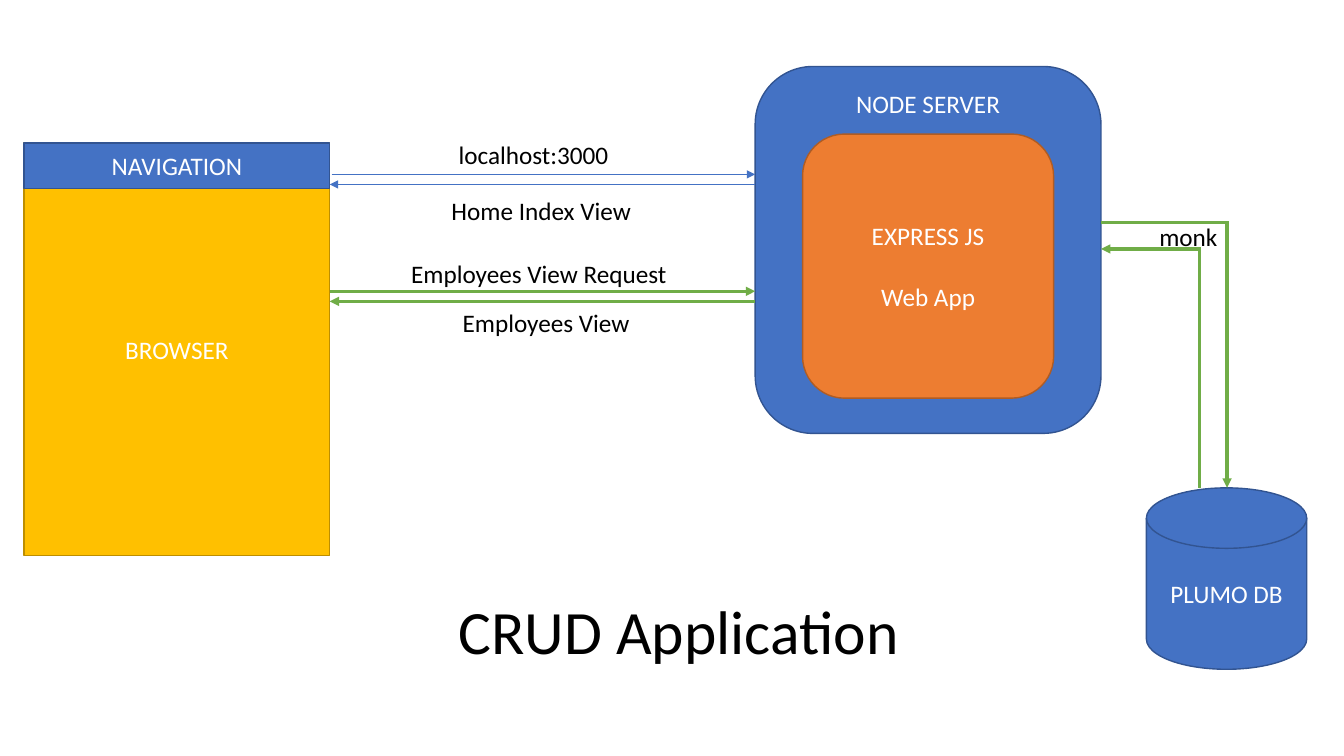
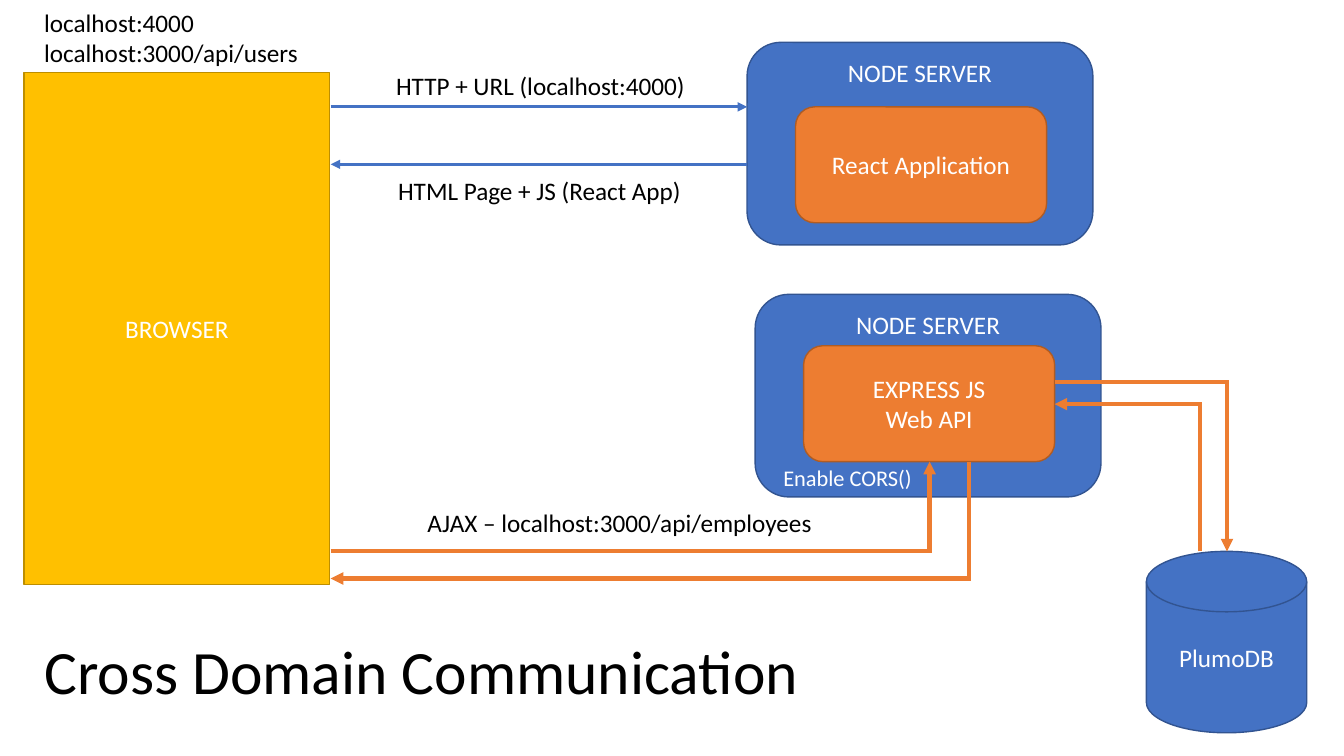
"""Two architecture slides: a CRUD application and cross domain communication."""
from lxml.etree import SubElement
from pptx import Presentation
from pptx.dml.color import RGBColor
from pptx.enum.shapes import MSO_CONNECTOR, MSO_SHAPE
from pptx.enum.text import MSO_ANCHOR, MSO_AUTO_SIZE, PP_ALIGN
from pptx.oxml.ns import qn
from pptx.util import Inches, Pt

COLORS = {
    "blue": "4472C4", "blue edge": "325491",
    "orange": "ED7D31", "orange edge": "AF5C24",
    "gold": "FFC000", "gold edge": "BD8E00",
    "green": "70AD47", "white": "FFFFFF", "black": "000000",
}
ROLES = {
    "server": (MSO_SHAPE.ROUNDED_RECTANGLE, "blue", MSO_ANCHOR.TOP),
    "app": (MSO_SHAPE.ROUNDED_RECTANGLE, "orange", MSO_ANCHOR.MIDDLE),
    "browser": (MSO_SHAPE.RECTANGLE, "gold", MSO_ANCHOR.MIDDLE),
    "navigation": (MSO_SHAPE.RECTANGLE, "blue", MSO_ANCHOR.MIDDLE),
    "database": (MSO_SHAPE.FLOWCHART_MAGNETIC_DISK, "blue", MSO_ANCHOR.MIDDLE),
}
ROWS = 75
BROWSER_LEFT, BROWSER_WIDTH = 2.4, 30.3
BROWSER_EDGE = BROWSER_LEFT + BROWSER_WIDTH
SERVER_LEFT, SERVER_WIDTH = 74.9, 34.3
SERVER_EDGE = SERVER_LEFT + SERVER_WIDTH
APP_WIDTH = 24.9
DISK_LEFT, DISK_WIDTH, DISK_HEIGHT = 113.7, 15.9, 18
REPLY_COLUMN, QUERY_COLUMN = 119, 121.7
LABEL_HEIGHT = 4

SLIDES = [
    {
        "title": ("CRUD Application", (44.5, 55.7, 45.8, 14.5)),
        "boxes": [
            ("database", "PLUMO DB", (DISK_LEFT, 48.4, DISK_WIDTH, DISK_HEIGHT)),
            ("server", "NODE SERVER", (SERVER_LEFT, 6.6, SERVER_WIDTH, 36.4)),
            ("app", "EXPRESS JS\nWeb App", (79.6, 13.3, APP_WIDTH, 26.2)),
            ("browser", "BROWSER", (BROWSER_LEFT, 14.2, BROWSER_WIDTH, 40.9)),
            ("navigation", "NAVIGATION", (BROWSER_LEFT, 14.2, BROWSER_WIDTH, 4.5)),
        ],
        "app gap": 22,
        "arrows": [
            ("green", 2.25, [(SERVER_EDGE, 22.1), (QUERY_COLUMN, 22.1), (QUERY_COLUMN, 48.4)]),
            ("green", 2.25, [(REPLY_COLUMN, 48.4), (REPLY_COLUMN, 24.7), (SERVER_EDGE, 24.7)]),
            ("blue", 0.5, [(32.9, 17.3), (SERVER_LEFT, 17.3)]),
            ("blue", 0.5, [(SERVER_LEFT, 18.3), (BROWSER_EDGE, 18.3)]),
            ("green", 2.25, [(BROWSER_EDGE, 28.9), (SERVER_LEFT, 28.9)]),
            ("green", 2.25, [(SERVER_LEFT, 29.9), (BROWSER_EDGE, 29.9)]),
        ],
        "labels": [
            ("localhost:3000", (44.5, 13.3, 17), 18, "black"),
            ("Home Index View", (43.8, 18.9, 20), 18, "black"),
            ("Employees View Request", (39.8, 25.1, 27.6), 18, "black"),
            ("Employees View", (44.9, 30, 18.8), 18, "black"),
            ("monk", (114, 21.5, 7.8), 18, "black"),
        ],
    },
    {
        "title": ("Cross Domain Communication", (3.4, 59.7, 81.3, 14.5)),
        "boxes": [
            ("browser", "BROWSER", (BROWSER_LEFT, 7.2, BROWSER_WIDTH, 50.8)),
            ("server", "NODE SERVER", (74.1, 4.2, SERVER_WIDTH, 20.1)),
            ("app", "React Application", (78.9, 10.6, APP_WIDTH, 11.5)),
            ("database", "PlumoDB", (DISK_LEFT, 54.7, DISK_WIDTH, DISK_HEIGHT)),
            ("server", "NODE SERVER", (SERVER_LEFT, 29.2, SERVER_WIDTH, 20.1)),
            ("app", "EXPRESS JS\nWeb API", (79.7, 34.3, APP_WIDTH, 11.5)),
        ],
        "app gap": 0,
        "arrows": [
            ("blue", 2.25, [(32.8, 10.6), (74.1, 10.6)]),
            ("blue", 2.25, [(74.1, 16.3), (32.8, 16.3)]),
            ("orange", 3, [(104.6, 37.9), (QUERY_COLUMN, 37.9), (QUERY_COLUMN, 54.7)]),
            ("orange", 3, [(REPLY_COLUMN, 54.7), (REPLY_COLUMN, 40.1), (104.6, 40.1)]),
            ("orange", 3, [(32.8, 54.7), (92.2, 54.7), (92.2, 45.8)]),
            ("orange", 3, [(96.1, 45.8), (96.1, 57.4), (32.8, 57.4)]),
        ],
        "labels": [
            ("HTTP + URL (localhost:4000)", (38.3, 6.5, 31), 18, "black"),
            ("HTML Page + JS (React App)", (38.5, 16.9, 30.4), 18, "black"),
            ("AJAX – localhost:3000/api/employees", (41.4, 49.8, 40.6), 18, "black"),
            ("localhost:4000\nlocalhost:3000/api/users", (3.4, 0.2, 27.3), 18, "black"),
            ("Enable CORS()", (76.7, 45.6, 14.9), 16, "white"),
        ],
    },
]

deck = Presentation()
deck.slide_width, deck.slide_height = Inches(13.33), Inches(7.5)
CELL = deck.slide_height / ROWS


def cells(*lengths):
    """Turn grid cells into slide units."""
    return [round(length * CELL) for length in lengths]


def write(frame, text, size, color, align, gap=0, **layout):
    """Fill a text frame and format each paragraph."""
    frame.text = text
    for key, value in layout.items():
        setattr(frame, key, value)
    for index, paragraph in enumerate(frame.paragraphs):
        paragraph.alignment = align
        paragraph.space_before = Pt(gap if index else 0)
        for key, value in {"name": "Calibri", "size": Pt(size)}.items():
            setattr(paragraph.font, key, value)
        paragraph.font.color.rgb = RGBColor.from_string(COLORS[color])


for content in SLIDES:
    slide = deck.slides.add_slide(deck.slide_layouts[5])
    heading, place = content["title"]
    title = slide.shapes.title
    for key, value in zip(("left", "top", "width", "height"), cells(*place)):
        setattr(title, key, value)
    write(title.text_frame, heading, 44, "black", PP_ALIGN.LEFT, word_wrap=True,
          auto_size=MSO_AUTO_SIZE.NONE, vertical_anchor=MSO_ANCHOR.MIDDLE)
    title.text_frame.paragraphs[0].line_spacing = 0.9

    for role, text, place in content["boxes"]:
        outline, color, anchor = ROLES[role]
        box = slide.shapes.add_shape(outline, *cells(*place))
        box.shadow.inherit = False
        box.fill.solid()
        box.fill.fore_color.rgb = RGBColor.from_string(COLORS[color])
        box.line.color.rgb = RGBColor.from_string(COLORS[color + " edge"])
        box.line.width = Pt(1)
        write(box.text_frame, text, 18, "white", PP_ALIGN.CENTER, content["app gap"],
              word_wrap=True, vertical_anchor=anchor)

    for color, weight, route in content["arrows"]:
        points = [cells(*point) for point in route]
        if len(points) == 2:
            arrow = slide.shapes.add_connector(MSO_CONNECTOR.STRAIGHT, *points[0], *points[1])
            SubElement(arrow.element.spPr, qn("a:effectLst"))
        else:
            builder = slide.shapes.build_freeform(*points[0])
            builder.add_line_segments(points[1:], close=False)
            arrow = builder.convert_to_shape()
            arrow.fill.background()
            arrow.shadow.inherit = False
        arrow.line.color.rgb = RGBColor.from_string(COLORS[color])
        arrow.line.width = Pt(weight)
        stroke = arrow.element.spPr.find(qn("a:ln"))
        SubElement(stroke, qn("a:miter"), lim="800000")
        SubElement(stroke, qn("a:tailEnd"), type="triangle")

    for text, (left, top, width), size, color in content["labels"]:
        label = slide.shapes.add_textbox(*cells(left, top, width, LABEL_HEIGHT))
        write(label.text_frame, text, size, color, PP_ALIGN.LEFT, word_wrap=False,
              auto_size=MSO_AUTO_SIZE.SHAPE_TO_FIT_TEXT)

deck.save("out.pptx")
